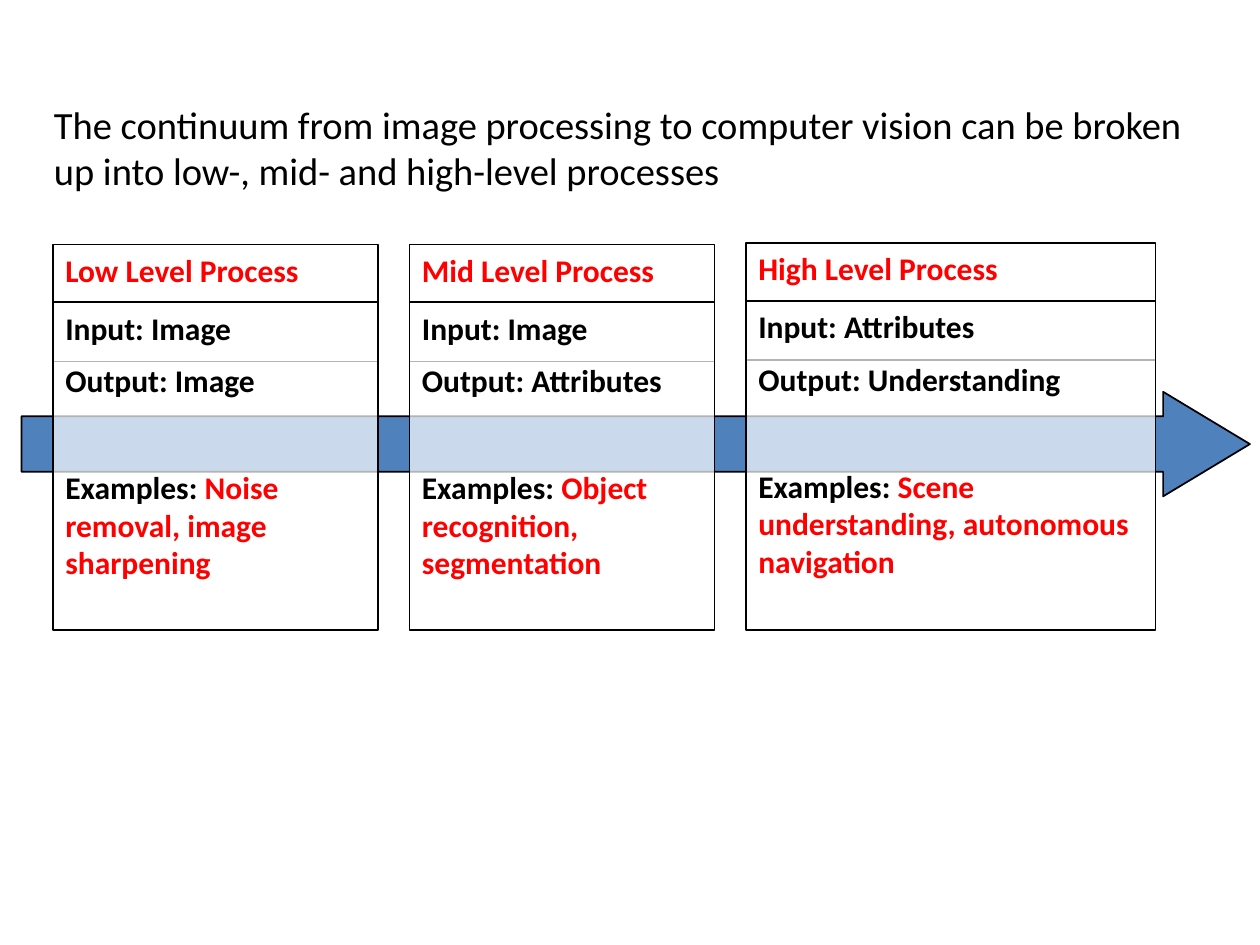
from lxml import etree
from pptx import Presentation
from pptx.dml.color import RGBColor
from pptx.enum.shapes import MSO_SHAPE
from pptx.enum.text import MSO_ANCHOR, PP_ALIGN
from pptx.oxml.ns import qn
from pptx.util import Inches, Pt

RECTANGLE, RIGHT_ARROW = MSO_SHAPE.RECTANGLE, MSO_SHAPE.RIGHT_ARROW
TOP, LEFT = MSO_ANCHOR.TOP, PP_ALIGN.LEFT
BLACK = RGBColor(0x00, 0x00, 0x00)
WHITE = RGBColor(0xFF, 0xFF, 0xFF)
RED = RGBColor(0xFF, 0x00, 0x00)
BLUE = RGBColor(0x4F, 0x81, 0xBD)

# left, top, width, title, input, output, examples
PROCESSES = [
    (0.42, 1.94, 2.58, "Low Level Process", "Image", "Image",
     "Noise removal, image sharpening"),
    (3.25, 1.94, 2.42, "Mid Level Process", "Image", "Attributes",
     "Object recognition, segmentation"),
    (5.92, 1.93, 3.25, "High Level Process", "Attributes", "Understanding",
     "Scene understanding, autonomous navigation"),
]
HEADER_HEIGHT = 0.93
BODY_OFFSET = 0.46
BODY_BOTTOM = 5.0


def add_run(p, text, size, color, bold):
    r = p.add_run()
    r.text = text
    r.font.name = "Calibri"
    r.font.size = Pt(size)
    r.font.bold = bold
    r.font.color.rgb = color


def add_panel(shapes, left, top, width, height, paragraphs):
    """Add a translucent box; paragraphs hold (space before, [(text, color)])."""
    s = shapes.add_shape(RECTANGLE, Inches(left), Inches(top),
                         Inches(width), Inches(height))
    s.shadow.inherit = False
    s.fill.solid()
    s.fill.fore_color.rgb = WHITE
    fill_color = s.fill._xPr.find(qn("a:solidFill")).find(qn("a:srgbClr"))
    etree.SubElement(fill_color, qn("a:alpha")).set("val", "70000")
    s.line.color.rgb = BLACK
    s.line.width = Pt(1)
    tf = s.text_frame
    tf.word_wrap = True
    tf.vertical_anchor = TOP
    for i, (space, runs) in enumerate(paragraphs):
        p = tf.add_paragraph() if i else tf.paragraphs[0]
        p.alignment = LEFT
        p.space_before = Pt(space)
        for text, color in runs:
            add_run(p, text, 18, color, True)


prs = Presentation()
prs.slide_width = Inches(10)
prs.slide_height = Inches(7.5)
slide = prs.slides.add_slide(prs.slide_layouts[6])

arrow = slide.shapes.add_shape(RIGHT_ARROW, Inches(0.17), Inches(3.11),
                               Inches(9.75), Inches(0.83))
arrow.adjustments[0] = 0.53
arrow.adjustments[1] = 0.83
arrow.shadow.inherit = False
arrow.fill.solid()
arrow.fill.fore_color.rgb = BLUE
arrow.line.color.rgb = BLACK
arrow.line.width = Pt(1)

intro = slide.shapes.add_textbox(Inches(0.33), Inches(0.75),
                                 Inches(9.25), Inches(1.83))
intro.text_frame.word_wrap = True
add_run(intro.text_frame.paragraphs[0],
        "The continuum from image processing to computer vision can be broken "
        "up into low-, mid- and high-level processes", 22, BLACK, False)

for left, top, width, title, source, result, examples in PROCESSES:
    group = slide.shapes.add_group_shape()
    add_panel(group.shapes, left, top, width, HEADER_HEIGHT,
              [(0, [(title, RED)])])
    body_top = top + BODY_OFFSET
    add_panel(group.shapes, left, body_top, width, BODY_BOTTOM - body_top, [
        (0, [("Input: " + source, BLACK)]),
        (8.6, [("Output: " + result, BLACK)]),
        (39.2, [("Examples: ", BLACK), (examples, RED)]),
    ])

prs.save("out.pptx")
